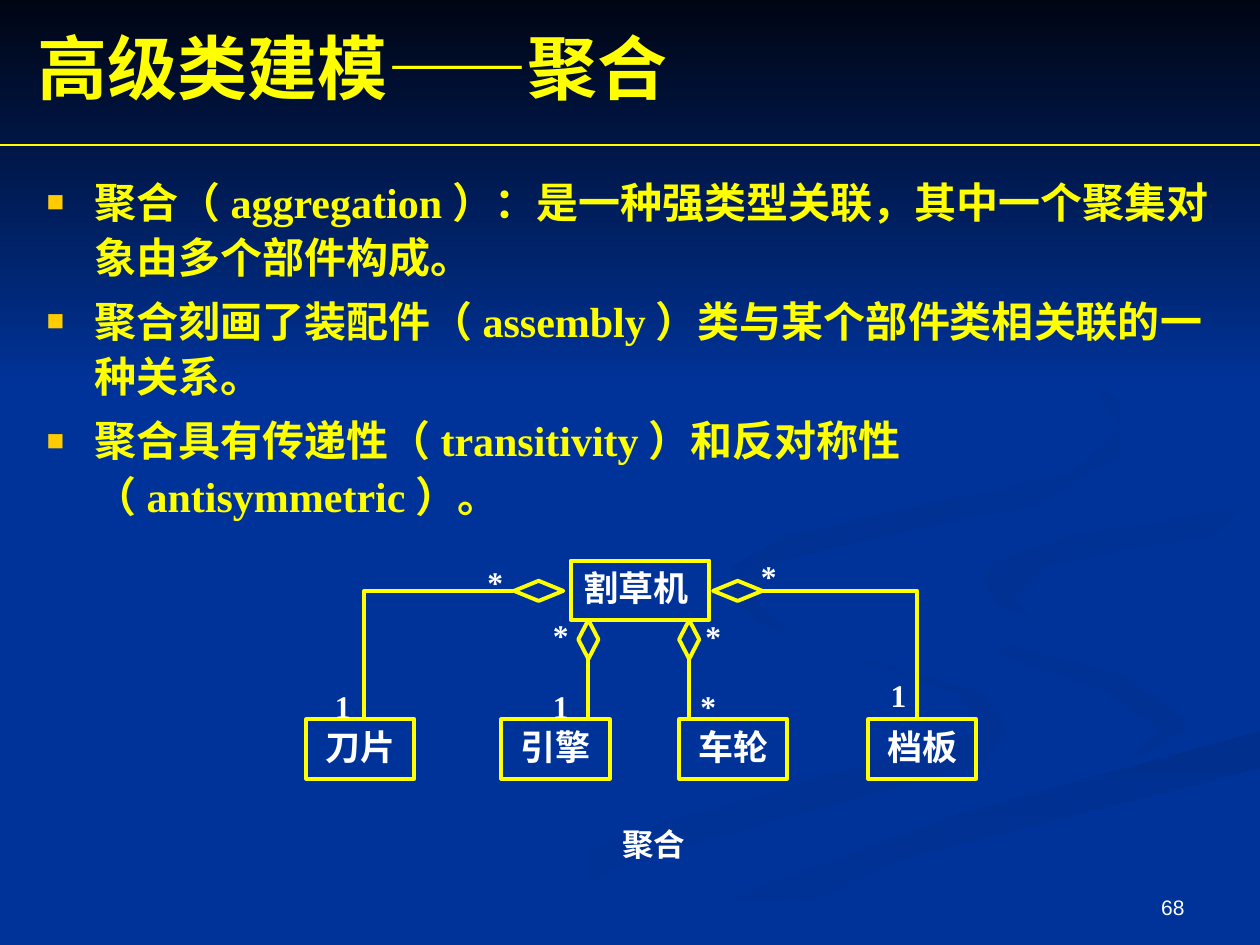
import lxml.etree
import pptx
import pptx.dml.color
import pptx.enum.shapes
import pptx.enum.text
import pptx.oxml.ns
import pptx.util

COLOURS = {
    "blue": "003399", "night": "000514", "shade": "002F8E", "mist": "003193",
    "yellow": "FFFF00", "gold": "FFCC00", "white": "FFFFFF",
}
SERIF, SANS = "Times New Roman", "Arial"
COLUMNS, ROWS = 100, 75
CELL = pptx.util.Inches(0.1)
SHAPES = pptx.enum.shapes.MSO_SHAPE
ALIGN = pptx.enum.text.PP_ALIGN
ANCHOR = pptx.enum.text.MSO_ANCHOR
FIT = pptx.enum.text.MSO_AUTO_SIZE

RIBBONS = [
    ("blue", "mist", 0, [
        (78, 55), (64, 51), (57.5, 46), (60, 49.5), (76, 55), (78, 58), (50, 66),
        (30, 75), (36, 75), (50, 68.5), (78, 60.5), (80, 58)]),
    ("blue", "mist", 45, [
        (94, 57), (89, 53.5), (76, 50), (72.5, 46.5), (76, 51), (88, 55), (92, 58),
        (89.5, 60.5), (94, 58)]),
    ("shade", "blue", 90, [
        (50, 75), (57, 75), (72, 68), (100, 61), (100, 58), (76.5, 64.5), (60, 70.5)]),
    ("mist", "blue", 45, [
        (78, 46), (79, 48), (82.5, 49.5), (80.5, 47.5), (83, 45), (90, 43.5),
        (100, 42), (100, 40), (85, 42.5), (79, 44.5)]),
    ("shade", "blue", 45, [
        (68, 43), (82.5, 40), (89, 36), (89, 32), (84, 27.5), (76, 23.5), (84.5, 28),
        (89, 34), (85, 37.5), (62.5, 42.5), (58, 45), (58.5, 48), (62, 50), (59.5, 47),
        (62, 44.5)]),
    ("night", "blue", 90, [(0, 0), (0, 30.8), (COLUMNS, 30.8), (COLUMNS, 0)]),
]


def colour(name):
    """Return the named colour."""
    return pptx.dml.color.RGBColor.from_string(COLOURS[name])


def place(box, left, top, width=0, height=0):
    """Return the lengths of a part given in cells from the corner of a box."""
    return [pptx.util.Emu(round(cells * CELL))
            for cells in (box[0] + left, box[1] + top, width, height)]


def write(para, text, size=18, font=SERIF, ink="white", bold=True):
    """Add a formatted span to a paragraph."""
    span = para.add_run()
    span.text = text
    span.font.size, span.font.bold, span.font.name = pptx.util.Pt(size), bold, font
    span.font.color.rgb = colour(ink)


def outline(shape):
    """Give a shape a yellow line and no fill."""
    shape.shadow.inherit = False
    shape.fill.background()
    shape.line.color.rgb, shape.line.width = colour("yellow"), pptx.util.Pt(2.25)


def add_path(page, box, points, close):
    """Draw a freeform through points given in cells."""
    spots = [place(box, *point)[:2] for point in points]
    builder = page.shapes.build_freeform(*spots[0], scale=1.0)
    builder.add_line_segments(spots[1:], close=close)
    return builder.convert_to_shape()


def add_line(page, start, end, width):
    """Draw a straight yellow connector between two points."""
    line = page.shapes.add_connector(pptx.enum.shapes.MSO_CONNECTOR.STRAIGHT, *start, *end)
    line.line.color.rgb, line.line.width = colour("yellow"), pptx.util.Pt(width)
    lxml.etree.SubElement(line.element.spPr, pptx.oxml.ns.qn("a:effectLst"))
    return line


def add_label(page, at, text, **style):
    """Add a one-line text box."""
    label = page.shapes.add_textbox(*at)
    label.text_frame.word_wrap = True
    write(label.text_frame.paragraphs[0], text, **style)
    return label


def add_backdrop(page, box):
    """Fill the page with blue, faint ribbons and a dark top band."""
    page.background.fill.solid()
    page.background.fill.fore_color.rgb = colour("blue")
    for first, last, angle, points in RIBBONS:
        ribbon = add_path(page, box, points, True)
        ribbon.shadow.inherit = False
        ribbon.line.fill.background()
        ribbon.fill.gradient()
        ribbon.fill.gradient_angle = -angle % 360
        for stop, name in zip(ribbon.fill.gradient_stops, (first, last)):
            stop.color.rgb = colour(name)


def fill_holder(holder, at):
    """Bring a placeholder to the front, place it and return its text frame."""
    holder.element.getparent().append(holder.element)
    holder.left, holder.top, holder.width, holder.height = at
    holder.text_frame.auto_size = FIT.NONE
    return holder.text_frame


def add_title(page, box):
    """Write the title and the rule below it."""
    frame = fill_holder(page.shapes.title, place(box, 2, 1.4, 90, 7.7))
    frame.vertical_anchor = ANCHOR.MIDDLE
    para = frame.paragraphs[0]
    para.alignment = ALIGN.LEFT
    for text, font in (("高级类建模", SERIF), ("——", SANS), ("聚合", SERIF)):
        write(para, text, size=40, font=font, ink="yellow")
    add_line(page, place(box, 0, box[3])[:2], place(box, box[2], box[3])[:2], 0.75)


def add_bullet(para):
    """Give a paragraph a hanging gold square."""
    props = para._p.get_or_add_pPr()
    indent = pptx.util.Inches(0.38)
    props.set("marL", str(indent))
    props.set("indent", str(-indent))
    tint = lxml.etree.SubElement(props, pptx.oxml.ns.qn("a:buClr"))
    lxml.etree.SubElement(tint, pptx.oxml.ns.qn("a:srgbClr"), val=COLOURS["gold"])
    for tag, key, value in (("a:buSzPct", "val", "70000"),
                            ("a:buFont", "typeface", SANS), ("a:buChar", "char", "■")):
        lxml.etree.SubElement(props, pptx.oxml.ns.qn(tag)).set(key, value)


def add_points(page, box):
    """Write the bulleted list."""
    frame = fill_holder(page.placeholders[1], place(box, 0, 0, *box[2:]))
    for index, text in enumerate((
            "聚合（aggregation）：是一种强类型关联，其中一个聚集对象由多个部件构成。",
            "聚合刻画了装配件（assembly）类与某个部件类相关联的一种关系。",
            "聚合具有传递性（transitivity）和反对称性（antisymmetric）。")):
        para = frame.add_paragraph() if index else frame.paragraphs[0]
        add_bullet(para)
        para.line_spacing = 1.1
        para.space_before = pptx.util.Pt(4.8 if index else 0)
        write(para, text, size=24, ink="yellow")


def add_class(page, box, name, left, top, width, align):
    """Draw one class box with its name."""
    shape = page.shapes.add_shape(SHAPES.RECTANGLE, *place(box, left, top, width, 4.7))
    outline(shape)
    shape.text_frame.vertical_anchor = ANCHOR.TOP
    shape.text_frame.paragraphs[0].alignment = align
    write(shape.text_frame.paragraphs[0], name, size=20)


def add_diamond(page, box, left, top, width, height):
    """Draw one aggregation diamond."""
    diamond = page.shapes.add_shape(SHAPES.DIAMOND, *place(box, left, top, width, height))
    outline(diamond)
    return diamond


def add_diagram(page, box):
    """Draw the assembly, its four parts and their aggregations."""
    base = 13.4
    add_class(page, box, "割草机", 21, 0.8, 11, ALIGN.LEFT)
    for name, left in (("刀片", 0), ("引擎", 15.5), ("车轮", 29.6), ("档板", 44.6)):
        add_class(page, box, name, left, base, 8.6, ALIGN.CENTER)
    for left in (21.6, 29.6):
        diamond = add_diamond(page, box, left, 5.5, 1.6, 3.1)
        foot = place(box, left + 0.8, base)[:2]
        add_line(page, foot, foot, 2.25).begin_connect(diamond, 2)
    for left, inner, outer in ((16.5, 16.4, 4.6), (32.3, 35.9, 48.5)):
        add_diamond(page, box, left, 2.4, 3.9, 1.6)
        outline(add_path(page, box, [(inner, 3.2), (outer, 3.2), (outer, base)], False))
    for text, left, top in (
            ("*", 13.4, 0.5), ("*", 35.1, 0), ("*", 30.7, 4.8), ("*", 18.6, 4.7),
            ("1", 1.3, 10.3), ("1", 18.6, 10.3), ("1", 45.4, 9.5), ("*", 30.3, 10.3)):
        add_label(page, place(box, left, top, 3.1, 4), text)
    add_label(page, place(box, 24.1, 21.3, 7.9, 4), "聚合")


def add_number(page, box):
    """Write the page number."""
    label = add_label(page, place(box, 0, 0, *box[2:]), "68", size=12, font=SANS, bold=False)
    label.text_frame.vertical_anchor = ANCHOR.BOTTOM
    label.text_frame.paragraphs[0].alignment = ALIGN.RIGHT


def main():
    """Build the slide and save the deck."""
    deck = pptx.Presentation()
    deck.slide_width, deck.slide_height = COLUMNS * CELL, ROWS * CELL
    page = deck.slides.add_slide(deck.slide_layouts[1])
    add_backdrop(page, (0, 0, COLUMNS, ROWS))
    add_number(page, (71.7, 68.3, 23.3, 5.2))
    add_points(page, (2.7, 13.1, 96.9, 31.5))
    add_title(page, (0, 0, COLUMNS, 11.5))
    add_diagram(page, (24.3, 43.7, 53.2, 25.3))
    deck.save("out.pptx")


if __name__ == "__main__":
    main()
